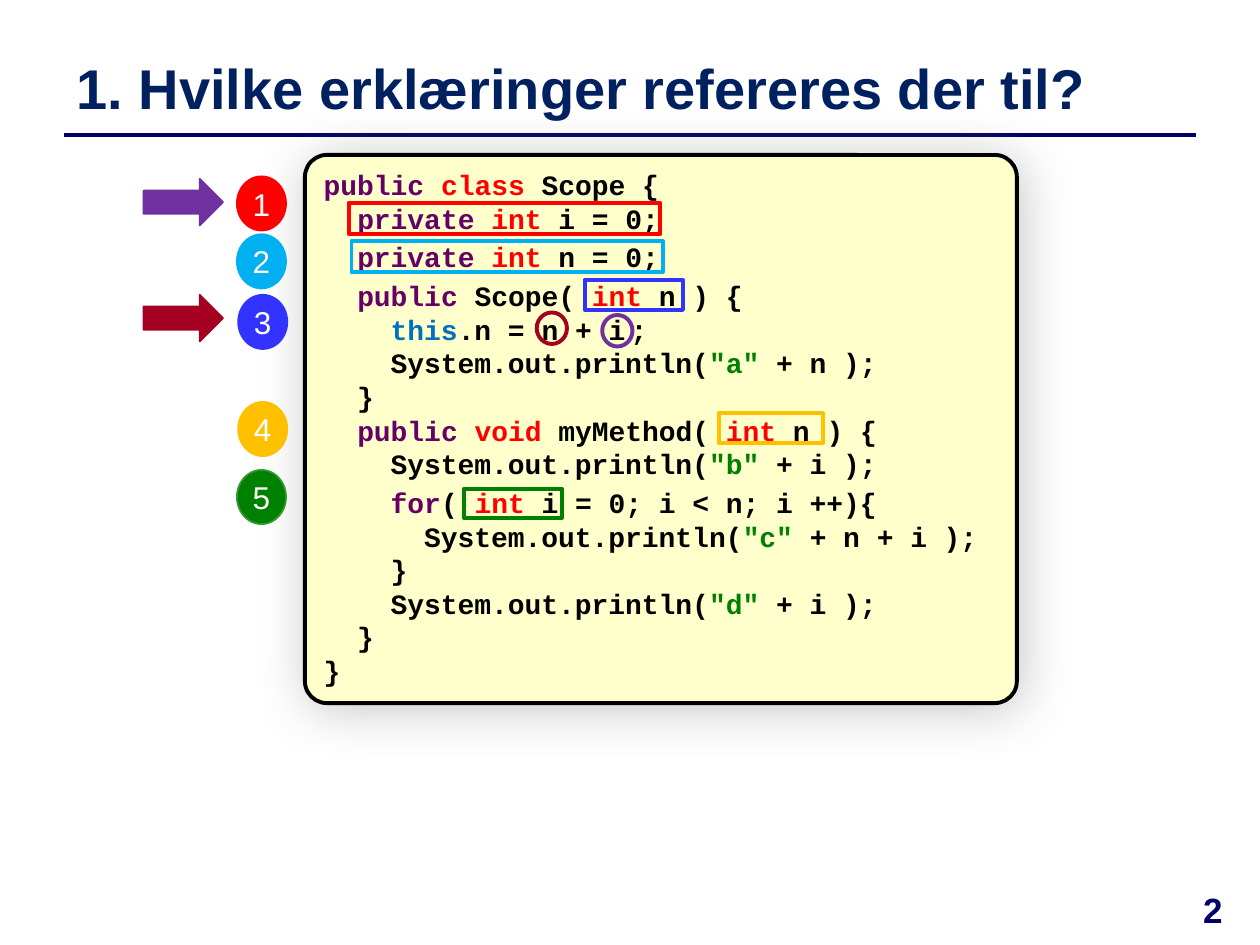
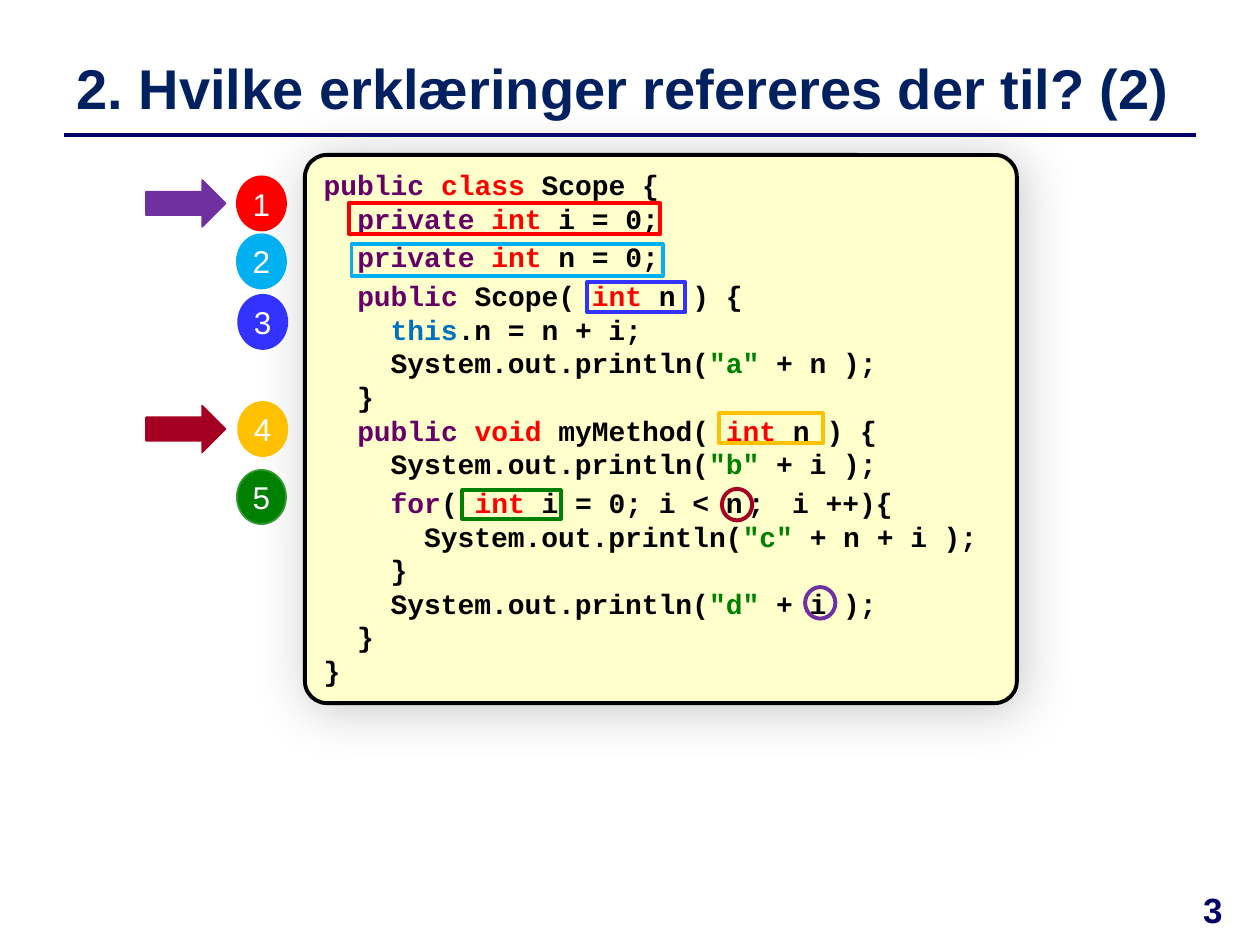
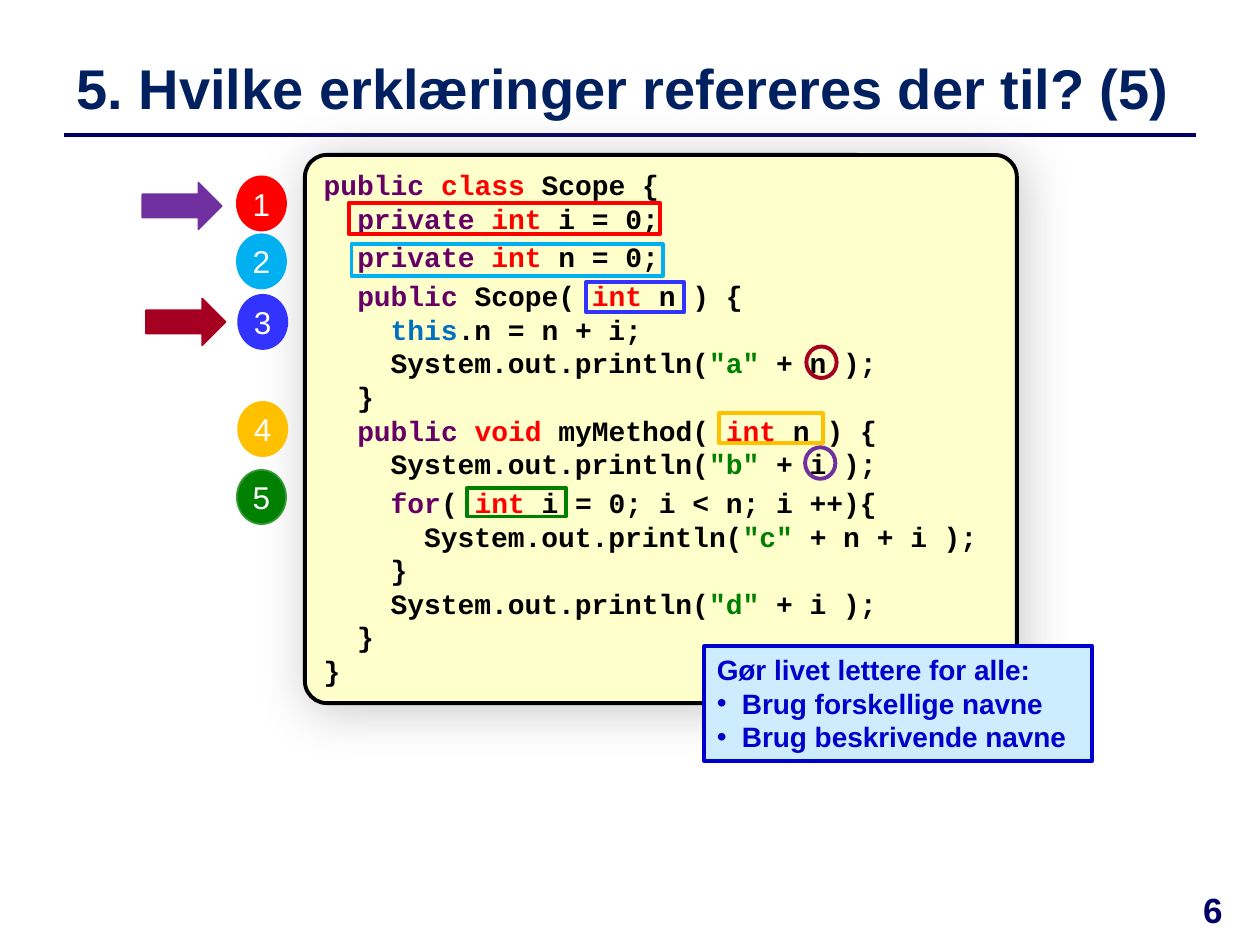
"""Builds three quiz slides on which declaration each name in a class refers to."""
from dataclasses import dataclass

from lxml import etree
from pptx import Presentation
from pptx import util as u
from pptx.dml.color import RGBColor
from pptx.enum import shapes, text
from pptx.oxml import ns

SCALE = 9144
FORM = shapes.MSO_SHAPE


@dataclass(frozen=True)
class Theme:
    """Colours, fonts and type sizes of the deck."""
    sans: str = "Arial"
    mono: str = "Courier New"
    head: int = 32
    page: int = 20
    badge: int = 18
    body: int = 16
    thick: float = 2.25
    title: str = "002060"
    navy: str = "000066"
    ink: str = "000000"
    white: str = "FFFFFF"
    cream: str = "FFFFCC"
    shade: str = "808080"
    access: str = "660066"
    this: str = "0070C0"
    quote: str = "008000"
    red: str = "FF0000"
    cyan: str = "00B0F0"
    blue: str = "3333FF"
    gold: str = "FFC000"
    green: str = "008000"
    rim: str = "339933"
    wine: str = "A50021"
    plum: str = "7030A0"
    pale: str = "CCECFF"
    royal: str = "0000CC"


T = Theme()

WORDS = {
    "public": T.access, "private": T.access, "for": T.access,
    "class": T.red, "int": T.red, "void": T.red, "this": T.this,
}

CODE = """\
public |class |Scope {
  |private |int |i = 0;
  |private |int |n = 0;
  |public |Scope( |int| n ) {
    |this|.n = n + i;
    System.out.println(|"a" |+ n );
  }
  |public |void |myMethod( |int| n ) {
    System.out.println(|"b" |+ i );
    |for|( |int |i = 0; i < n; i ++){
      System.out.println(|"c" |+ n + i );
    }
    System.out.println(|"d" |+ i );
  }
}""".split("\n")
SPACED = (2, 3, 9)

BADGES = [
    (188, 140, T.red, T.red),
    (188, 186, T.cyan, T.cyan),
    (189, 234, T.blue, T.blue),
    (189, 319, T.gold, T.gold),
    (188, 373, T.green, T.rim),
]


@dataclass(frozen=True)
class Quiz:
    """What differs from one quiz slide to the next."""
    title: str
    page: int
    field: tuple
    param: tuple
    loop: tuple
    arrows: tuple
    rings: tuple
    wide: tuple = ("", "")


QUIZZES = [
    Quiz("1. Hvilke erklæringer refereres der til?", 2,
         (279, 191), (464, 222), (368, 388),
         ((114, 234), (114, 142)), ((426, 248), (478, 250)),
         ("n + i;", "n + |~i;")),
    Quiz("2. Hvilke erklæringer refereres der til? (2)", 3,
         (279, 194), (466, 224), (367, 389),
         ((116, 322), (116, 143)), ((573, 388), (639, 466)),
         ("< n; i", "< |~n; |i")),
    Quiz("5. Hvilke erklæringer refereres der til? (5)", 6,
         (279, 194), (465, 224), (371, 387),
         ((116, 237), (113, 145)), ((640, 275), (639, 355))),
]


def px(*vals):
    """Turn px lengths into EMU."""
    return [u.Emu(v * SCALE) for v in vals]


def rgb(code):
    """Return a colour from its hex code."""
    return RGBColor.from_string(code)


def style(para, size, tone, bold=True, face=T.sans):
    """Set the font of a whole paragraph."""
    font = para.font
    font.name, font.size, font.bold = face, u.Pt(size), bold
    font.color.rgb = rgb(tone)


def shape(slide, form, box, fill=None, line=T.ink, width=T.thick):
    """Add a flat preset shape with an outline and an optional fill."""
    item = slide.shapes.add_shape(form, *px(*box))
    item.shadow.inherit = False
    if fill:
        item.fill.solid()
        item.fill.fore_color.rgb = rgb(fill)
    else:
        item.fill.background()
    item.line.color.rgb = rgb(line)
    item.line.width = u.Pt(width)
    return item


def label(slide, box, words, size, tone, align, anchor):
    """Add a one-line bold text box."""
    frame = slide.shapes.add_textbox(*px(*box)).text_frame
    frame.word_wrap = True
    frame.vertical_anchor = anchor
    para = frame.paragraphs[0]
    para.text, para.alignment = words, align
    style(para, size, tone)


def rule(slide):
    """Draw the line under the title."""
    line = slide.shapes.add_connector(
        shapes.MSO_CONNECTOR.STRAIGHT, *px(51, 107, 949, 107))
    line.line.color.rgb = rgb(T.navy)
    line.line.width = u.Pt(2)
    etree.SubElement(line._element.spPr, ns.qn("a:effectLst"))


def glow(item):
    """Give a shape a soft shadow."""
    effects = item._element.spPr.find(ns.qn("a:effectLst"))
    cast = etree.SubElement(effects, ns.qn("a:outerShdw"), blurRad="381000",
                            dist="38100", dir="2700000", algn="tl")
    tint = etree.SubElement(cast, ns.qn("a:srgbClr"), val=T.shade)
    etree.SubElement(tint, ns.qn("a:alpha"), val="43000")


def lines(item, count):
    """Return the given number of left-aligned paragraphs of a shape."""
    frame = item.text_frame
    frame.word_wrap = True
    frame.vertical_anchor = text.MSO_ANCHOR.TOP
    paras = [frame.paragraphs[0]]
    paras += [frame.add_paragraph() for _ in range(count - 1)]
    for para in paras:
        para.alignment = text.PP_ALIGN.LEFT
    return paras


def tone(piece):
    """Choose the colour of a piece of code."""
    if piece.startswith('"'):
        return T.quote
    return WORDS.get(piece.strip(), T.ink)


def listing(slide, wide):
    """Add the code panel, with one stretch of code set wide."""
    panel = shape(slide, FORM.ROUNDED_RECTANGLE, (242, 123, 565, 435), T.cream)
    panel.adjustments[0] = 0.04
    glow(panel)
    for row, para in enumerate(lines(panel, len(CODE))):
        if row in SPACED:
            para.space_before = u.Pt(3)
        style(para, T.body, T.ink, face=T.mono)
        for piece in CODE[row].replace(*wide).split("|"):
            run = para.add_run()
            run.text = piece.lstrip("~")
            run.font.color.rgb = rgb(tone(piece))
            if piece.startswith("~"):
                run._r.get_or_add_rPr().set("spc", "300")


def badge(slide, num, left, top, fill, line):
    """Add a numbered disc."""
    disc = shape(slide, FORM.OVAL, (left, top, 39, 43), fill, line, 1)
    frame = disc.text_frame
    frame.margin_left = frame.margin_right = 0
    frame.margin_top = frame.margin_bottom = 0
    frame.vertical_anchor = text.MSO_ANCHOR.MIDDLE
    para = frame.paragraphs[0]
    para.text, para.alignment = str(num), text.PP_ALIGN.CENTER
    style(para, T.badge, T.white, bold=False)


def marks(slide, quiz):
    """Frame the declarations, ring the names and point at the answers."""
    frames = [
        ((277, 161, 247, 25), T.red),
        ((*quiz.field, 247, 25), T.cyan),
        ((*quiz.param, 78, 24), T.blue),
        ((571, 328, 82, 24), T.gold),
        ((*quiz.loop, 78, 23), T.green),
    ]
    for box, hue in frames:
        shape(slide, FORM.RECTANGLE, box, line=hue)
    for num, spot in enumerate(BADGES, 1):
        badge(slide, num, *spot)
    for arrow, ring, hue in zip(quiz.arrows, quiz.rings, (T.wine, T.plum)):
        shape(slide, FORM.RIGHT_ARROW, (*arrow, 63, 37), hue, hue, 1)
        shape(slide, FORM.OVAL, (*ring, 24, 25), line=hue)


def advice(slide, head, *points):
    """Add the closing note with its bullet points."""
    note = shape(slide, FORM.RECTANGLE, (559, 513, 308, 91), T.pale, T.royal)
    paras = lines(note, 1 + len(points))
    for para, words in zip(paras, (head, *points)):
        para.text = words
        if words in points:
            props = para._p.get_or_add_pPr()
            props.set("marL", str(20 * SCALE))
            props.set("indent", str(-20 * SCALE))
            etree.SubElement(props, ns.qn("a:buFont"), typeface=T.sans)
            etree.SubElement(props, ns.qn("a:buChar"), char="•")
        style(para, T.body, T.royal)


def page(deck, quiz):
    """Add one quiz slide."""
    slide = deck.slides.add_slide(deck.slide_layouts[6])
    rule(slide)
    label(slide, (51, 36, 898, 67), quiz.title, T.head, T.title,
          text.PP_ALIGN.LEFT, text.MSO_ANCHOR.MIDDLE)
    listing(slide, quiz.wide)
    marks(slide, quiz)
    label(slide, (925, 700, 75, 50), str(quiz.page), T.page, T.navy,
          text.PP_ALIGN.CENTER, text.MSO_ANCHOR.TOP)
    return slide


def main():
    """Build and save the deck."""
    deck = Presentation()
    deck.slide_width, deck.slide_height = px(1000, 750)
    for quiz in QUIZZES:
        slide = page(deck, quiz)
    advice(slide, "Gør livet lettere for alle:",
           "Brug forskellige navne", "Brug beskrivende navne")
    deck.save("out.pptx")


if __name__ == "__main__":
    main()
